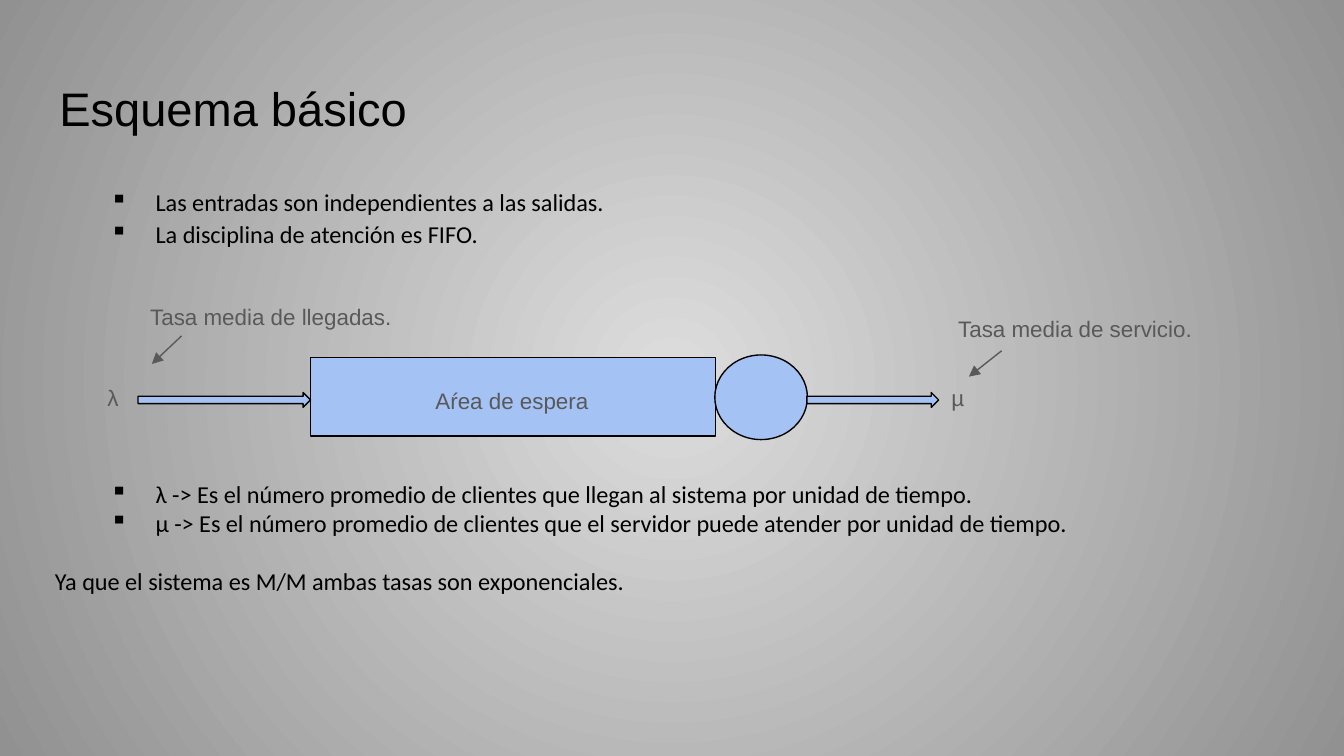
from lxml.etree import SubElement
from pptx import Presentation
from pptx.dml.color import RGBColor
from pptx.enum.shapes import MSO_CONNECTOR, MSO_SHAPE
from pptx.enum.text import MSO_ANCHOR, PP_ALIGN
from pptx.oxml.ns import qn
from pptx.util import Cm, Pt

BLACK = RGBColor(0x00, 0x00, 0x00)
GREY = RGBColor(0x59, 0x59, 0x59)
BLUE = RGBColor(0xA4, 0xC2, 0xF4)
CENTRE_GREY = RGBColor(0xDD, 0xDD, 0xDD)
EDGE_GREY = RGBColor(0x91, 0x91, 0x91)

TITLE = "Esquema básico"

# text, bulleted, space before in points, line spacing
BODY = [
    ("Las entradas son independientes a las salidas.", True, 0, 1.08),
    ("La disciplina de atención es FIFO.", True, 0, 1.08),
    ("λ -> Es el número promedio de clientes que llegan al sistema por unidad de tiempo.",
     True, 124, 1),
    ("µ -> Es el número promedio de clientes que el servidor puede atender "
     "por unidad de tiempo.", True, 0, 1),
    ("Ya que el sistema es M/M ambas tasas son exponenciales.", False, 15.5, 1),
]

# All places below are left, top, width, height in centimetres
QUEUE_SHAPES = [
    (MSO_SHAPE.RECTANGLE, (5.87, 6.76, 7.65, 1.48)),
    (MSO_SHAPE.RIGHT_ARROW, (2.61, 7.42, 3.26, 0.28)),
    (MSO_SHAPE.OVAL, (13.51, 6.71, 1.75, 1.6)),
    (MSO_SHAPE.RIGHT_ARROW, (15.25, 7.42, 2.49, 0.28)),
]
LABELS = [
    ("λ", (1.78, 7.01, 1, 1.02)),
    ("µ", (17.73, 7.01, 1.14, 1.02)),
    ("Aŕea de espera", (7.98, 7.06, 3.5, 0.9)),
    ("Tasa media de llegadas.", (2.59, 5.49, 5.8, 1.02)),
    ("Tasa media de servicio.", (17.86, 5.7, 5.8, 1.02)),
]
# start x, start y, end x, end y
POINTERS = [(3.43, 6.35, 2.87, 6.88), (18.93, 6.63, 18.31, 7.12)]


def lengths(values):
    return [Cm(value) for value in values]


def style_text(paragraph, font_name, size, color):
    for span in paragraph.runs:
        span.font.name = font_name
        span.font.size = Pt(size)
        span.font.color.rgb = color


def set_insets(frame):
    frame.word_wrap = True
    frame.margin_left = frame.margin_right = Cm(0.25)
    frame.margin_top = frame.margin_bottom = Cm(0.25)


def add_text_box(slide, place):
    frame = slide.shapes.add_textbox(*lengths(place)).text_frame
    set_insets(frame)
    return frame


def add_bullet(paragraph):
    """Give the paragraph a hanging indent and a black square bullet."""
    properties = paragraph._p.get_or_add_pPr()
    properties.set("marL", str(Cm(1.9)))
    properties.set("indent", str(Cm(-0.86)))
    color = SubElement(properties, qn("a:buClr"))
    SubElement(color, qn("a:srgbClr"), val=str(BLACK))
    SubElement(properties, qn("a:buChar"), char="▪")


def paint_background(slide):
    """Fill the background with a circular gradient from the centre."""
    fill = slide.background.fill
    fill.gradient()
    for stop, color in zip(fill.gradient_stops, (CENTRE_GREY, EDGE_GREY)):
        stop.color.rgb = color
    fill.gradient_stops[0].position = 0
    fill.gradient_stops[1].position = 1
    gradient = next(slide._element.iter(qn("a:gradFill")))
    gradient.remove(gradient.find(qn("a:lin")))
    circle = SubElement(gradient, qn("a:path"), {"path": "circle"})
    SubElement(circle, qn("a:fillToRect"), l="50000", t="50000", r="50000", b="50000")


def add_title(slide):
    title = slide.shapes.title
    title.left, title.top, title.width, title.height = lengths((0.87, 1.24, 23.67, 1.6))
    frame = title.text_frame
    frame.text = TITLE
    set_insets(frame)
    frame.vertical_anchor = MSO_ANCHOR.MIDDLE
    frame.paragraphs[0].alignment = PP_ALIGN.LEFT
    style_text(frame.paragraphs[0], "Arial", 25.2, BLACK)


def add_body(slide):
    frame = add_text_box(slide, (0.79, 3.25, 23.67, 9.5))
    for index, (text, bulleted, space_before, line_spacing) in enumerate(BODY):
        para = frame.add_paragraph() if index else frame.paragraphs[0]
        para.text = text
        para.space_before = Pt(space_before)
        para.line_spacing = line_spacing
        if bulleted:
            add_bullet(para)
        style_text(para, "Calibri", 13, BLACK)


def add_queue_diagram(slide):
    for kind, place in QUEUE_SHAPES:
        shape = slide.shapes.add_shape(kind, *lengths(place))
        shape.shadow.inherit = False
        shape.fill.solid()
        shape.fill.fore_color.rgb = BLUE
        shape.line.color.rgb = BLACK
        shape.line.width = Pt(0.75)

    for text, place in LABELS:
        frame = add_text_box(slide, place)
        frame.text = text
        style_text(frame.paragraphs[0], "Arial", 12, GREY)

    for ends in POINTERS:
        pointer = slide.shapes.add_connector(MSO_CONNECTOR.STRAIGHT, *lengths(ends))
        pointer.line.color.rgb = GREY
        pointer.line.width = Pt(0.75)
        SubElement(pointer.line._get_or_add_ln(), qn("a:tailEnd"), type="triangle")
        SubElement(pointer._element.spPr, qn("a:effectLst"))


def main():
    deck = Presentation()
    deck.slide_width, deck.slide_height = Cm(25.4), Cm(14.29)
    slide = deck.slides.add_slide(deck.slide_layouts[5])
    paint_background(slide)
    add_title(slide)
    add_body(slide)
    add_queue_diagram(slide)
    deck.save("out.pptx")


if __name__ == "__main__":
    main()
